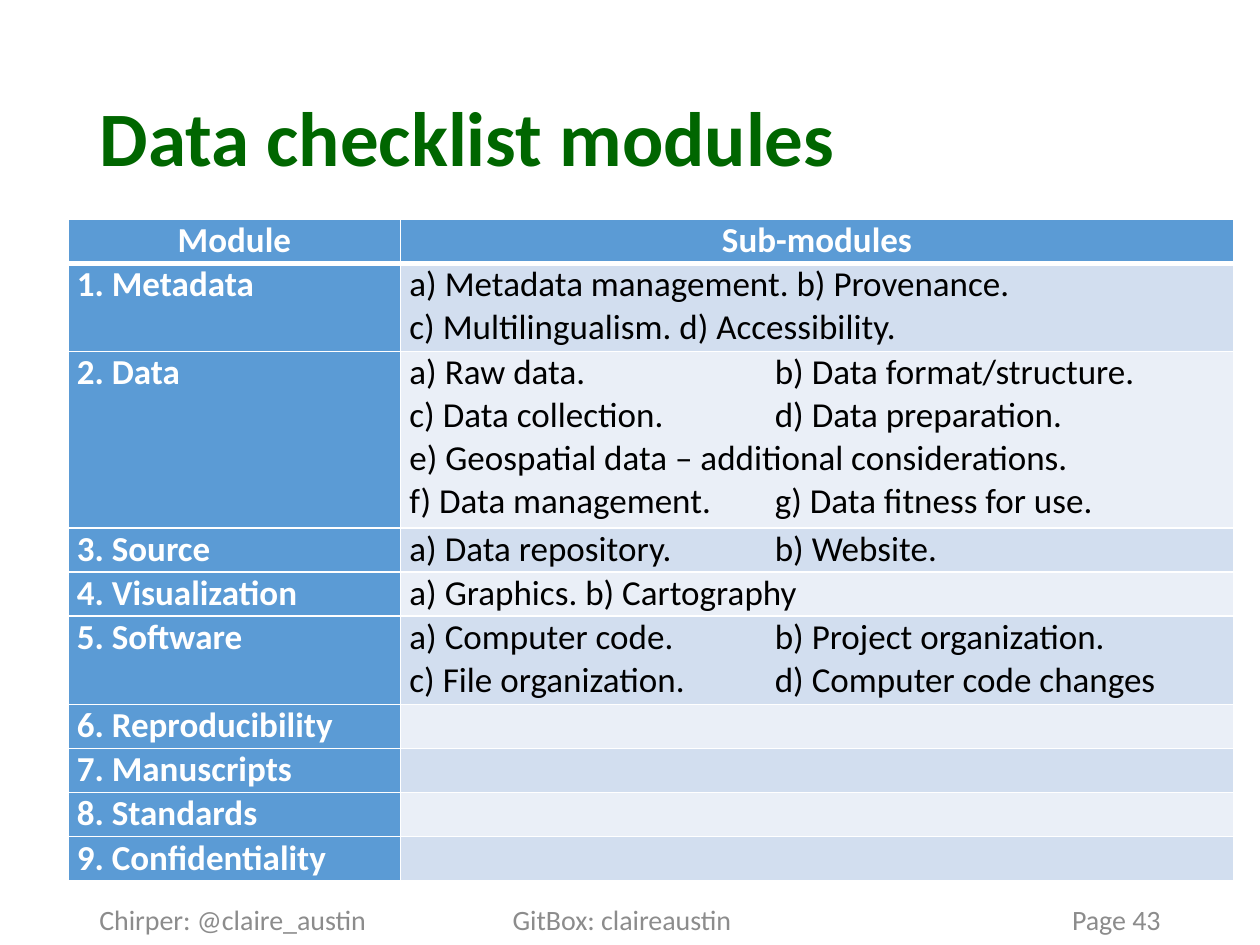
from dataclasses import dataclass

from lxml import etree
from pptx import Presentation
from pptx import util as u
from pptx.dml.color import RGBColor
from pptx.enum import text
from pptx.oxml.ns import qn


@dataclass(frozen=True)
class Theme:
    font: str = "Calibri"
    title: str = "006600"
    accent: str = "5B9BD5"
    bands: tuple = ("D2DEEF", "EAEFF7")
    white: str = "FFFFFF"
    ink: str = "000000"
    muted: str = "8C8C8C"
    title_size: int = 44
    table_size: int = 20
    footer_size: int = 16
    thin: int = 1
    thick: int = 3


@dataclass(frozen=True)
class Box:
    left: float
    top: float
    width: float
    height: float

    def place(self):
        return [u.Inches(side) for side in (self.left, self.top, self.width, self.height)]


THEME = Theme()
WIDTH, HEIGHT = 10, 7.5
MARGIN = 0.69
ROW = 0.35
COLUMNS = (2.64, 6.61)
TAB = 2.9
LEFT, CENTER, RIGHT = text.PP_ALIGN.LEFT, text.PP_ALIGN.CENTER, text.PP_ALIGN.RIGHT

HEADINGS = ("Module", "Sub-modules")
MODULES = [
    ("1. Metadata", ["a) Metadata management. b) Provenance.",
                     "c) Multilingualism. d) Accessibility."]),
    ("2. Data", ["a) Raw data.\tb) Data format/structure.",
                 "c) Data collection.\td) Data preparation.",
                 "e) Geospatial data – additional considerations.",
                 "f) Data management.\tg) Data fitness for use."]),
    ("3. Source", ["a) Data repository.\tb) Website."]),
    ("4. Visualization", ["a) Graphics. b) Cartography"]),
    ("5. Software", ["a) Computer code.\tb) Project organization.",
                     "c) File organization.\td) Computer code changes"]),
    ("6. Reproducibility", []),
    ("7. Manuscripts", []),
    ("8. Standards", []),
    ("9. Confidentiality", []),
]
# Footer entries: wording, left, width, alignment
FOOTER = [
    ("Chirper: @claire_austin", MARGIN, 2.46, LEFT),
    ("GitBox: claireaustin", 3.97, 2.06, LEFT),
    ("Page 43", 8.36, 0.95, RIGHT),
]


def style(frame, size, color, bold=False, align=LEFT):
    for para in frame.paragraphs:
        para.alignment = align
        para.font.size = u.Pt(size)
        for span in para.runs:
            span.font.name = THEME.font
            span.font.size = u.Pt(size)
            span.font.bold = bold
            span.font.color.rgb = RGBColor.from_string(color)


def add_tab_stop(para, inches):
    stops = etree.SubElement(para._p.get_or_add_pPr(), qn("a:tabLst"))
    etree.SubElement(stops, qn("a:tab"), pos=str(u.Inches(inches)), algn="l")


def set_borders(cell, top, bottom):
    """Draw white cell borders; they come before the fill in the cell properties."""
    properties = cell._tc.get_or_add_tcPr()
    sides = {"lnL": THEME.thin, "lnR": THEME.thin, "lnT": top, "lnB": bottom}
    for index, (side, points) in enumerate(sides.items()):
        line = etree.Element(qn(f"a:{side}"), w=str(u.Pt(points)))
        solid = etree.SubElement(line, qn("a:solidFill"))
        etree.SubElement(solid, qn("a:srgbClr"), val=THEME.white)
        properties.insert(index, line)


def fill_cell(cell, lines, fill, color, bold=False, align=LEFT):
    cell.margin_left = cell.margin_right = u.Inches(0.07)
    cell.margin_top = cell.margin_bottom = 0
    cell.fill.solid()
    cell.fill.fore_color.rgb = RGBColor.from_string(fill)
    cell.text_frame.text = "\n".join(lines)
    style(cell.text_frame, THEME.table_size, color, bold, align)
    for para in cell.text_frame.paragraphs:
        if "\t" in para.text:
            add_tab_stop(para, TAB)


def add_title(page, box):
    title = page.shapes.title
    title.left, title.top, title.width, title.height = box.place()
    frame = title.text_frame
    frame.text = "Data checklist modules"
    frame.auto_size = text.MSO_AUTO_SIZE.NONE
    frame.vertical_anchor = text.MSO_ANCHOR.MIDDLE
    frame.paragraphs[0].line_spacing = 0.9
    style(frame, THEME.title_size, THEME.title, bold=True)


def add_modules(page, box):
    table = page.shapes.add_table(len(MODULES) + 1, len(COLUMNS), *box.place()).table
    for column, width in zip(table.columns, COLUMNS):
        column.width = u.Inches(width)

    # Heading row
    table.rows[0].height = u.Inches(ROW)
    for index, heading in enumerate(HEADINGS):
        cell = table.cell(0, index)
        fill_cell(cell, [heading], THEME.accent, THEME.white, True, CENTER)
        set_borders(cell, THEME.thin, THEME.thick)

    # One row per module, as tall as its lines need
    for row, (module, parts) in enumerate(MODULES, start=1):
        table.rows[row].height = u.Inches(ROW * max(1, len(parts)))
        name, details = table.cell(row, 0), table.cell(row, 1)
        fill_cell(name, [module], THEME.accent, THEME.white, bold=True)
        fill_cell(details, parts, THEME.bands[(row - 1) % 2], THEME.ink)
        for cell in (name, details):
            set_borders(cell, THEME.thick if row == 1 else THEME.thin, THEME.thin)


def add_footer(page, top, height):
    for wording, left, width, align in FOOTER:
        frame = page.shapes.add_textbox(*Box(left, top, width, height).place()).text_frame
        frame.word_wrap = True
        frame.vertical_anchor = text.MSO_ANCHOR.MIDDLE
        frame.text = wording
        style(frame, THEME.footer_size, THEME.muted, align=align)


def main():
    deck = Presentation()
    deck.slide_width, deck.slide_height = u.Inches(WIDTH), u.Inches(HEIGHT)
    page = deck.slides.add_slide(deck.slide_layouts.get_by_name("Title Only"))
    add_title(page, Box(MARGIN, 0.4, WIDTH - 2 * MARGIN, 1.45))
    line_count = 1 + sum(max(1, len(parts)) for _, parts in MODULES)
    add_modules(page, Box(0.54, 1.74, sum(COLUMNS), ROW * line_count))
    add_footer(page, HEIGHT - 0.4, 0.4)
    deck.save("out.pptx")


if __name__ == "__main__":
    main()
